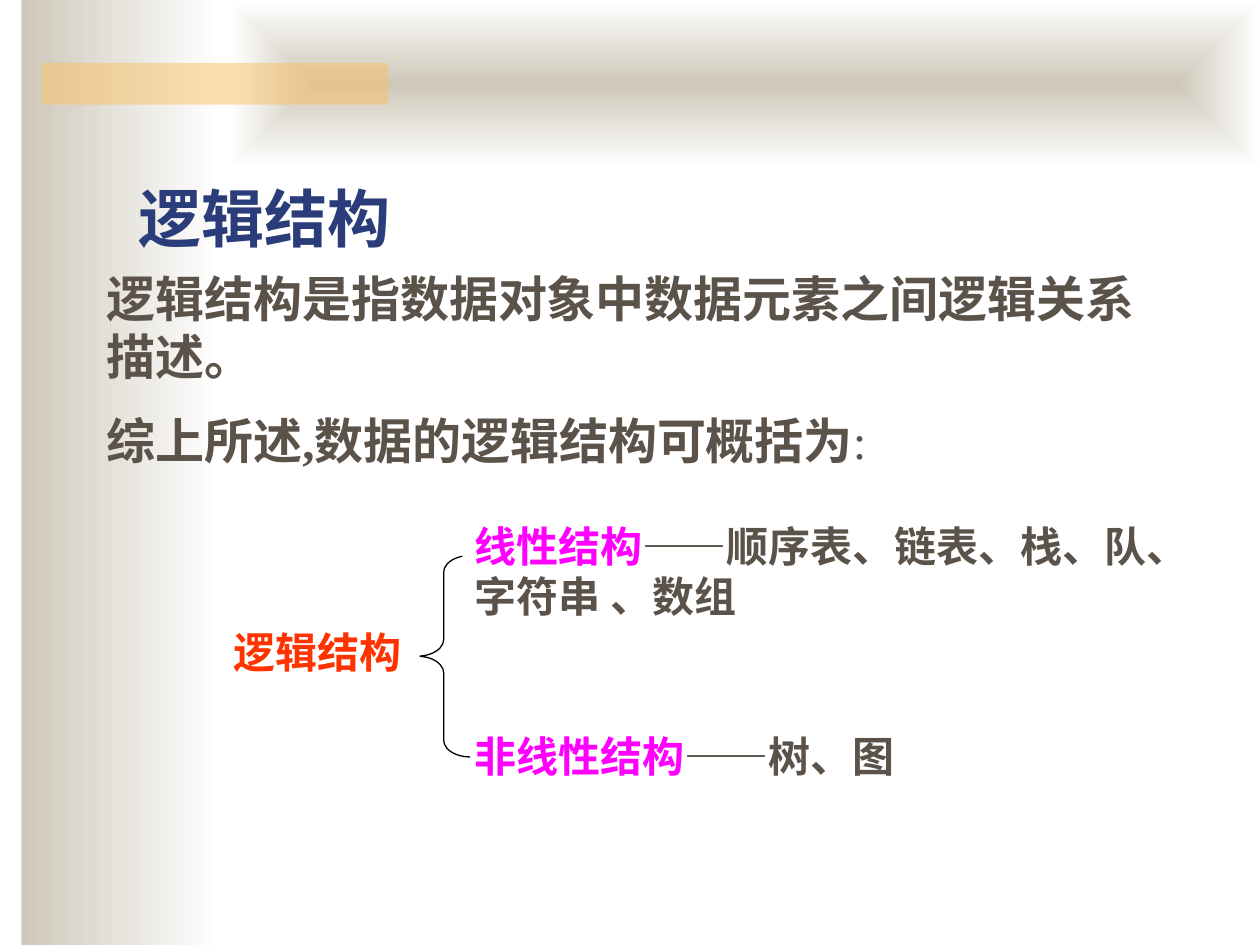
from pptx import Presentation
from pptx.dml.color import RGBColor
from pptx.enum.shapes import MSO_SHAPE
from pptx.enum.text import MSO_ANCHOR, PP_ALIGN
from pptx.oxml.ns import qn
from pptx.util import Cm, Pt
from lxml.etree import SubElement

COLORS = {"sand": "CEC8BA", "white": "FFFFFF", "amber": "FAC164", "body": "5B5249",
          "magenta": "FF00FF", "red": "FF3300", "navy": "2A3D7A", "black": "000000"}


class Deck:
    """Holds the style and the current slide, and adds elements to it."""

    def __init__(self):
        self.prs = Presentation()
        self.prs.slide_width, self.prs.slide_height = Cm(25.4), Cm(19.05)
        self.s = self.prs.slides.add_slide(self.prs.slide_layouts[6])

    def color(self, name):
        return RGBColor.from_string(COLORS[name])

    def shape(self, box, fill=None, kind=MSO_SHAPE.RECTANGLE, alpha=None):
        sp = self.s.shapes.add_shape(kind, *map(Cm, box))
        sp.shadow.inherit = False
        sp.line.fill.background()
        if fill:
            sp.fill.solid()
            sp.fill.fore_color.rgb = self.color(fill)
        else:
            sp.fill.background()
        if alpha:
            clr = sp.fill._xPr.find(qn("a:solidFill"))[0]
            SubElement(clr, qn("a:alpha"), val=str(alpha * 1000))
        return sp

    def gradient(self, box, centered=False):
        sp = self.shape(box)
        sp.fill.gradient()
        sp.fill.gradient_angle = 0
        for stop, name in zip(sp.fill.gradient_stops, ("sand", "white")):
            stop.color.rgb = self.color(name)
        if centered:
            grad = sp._element.spPr.find(qn("a:gradFill"))
            grad.remove(grad.find(qn("a:lin")))
            path = SubElement(grad, qn("a:path"), path="shape")
            SubElement(path, qn("a:fillToRect"), **dict.fromkeys("ltrb", "50000"))

    def brace(self, box, curve):
        sp = self.shape(box, kind=MSO_SHAPE.LEFT_BRACE)
        sp.adjustments[0], sp.adjustments[1] = curve, 0.5
        sp.line.color.rgb = self.color("black")
        sp.line.width = Pt(0.75)

    def text(self, box, paragraphs, size, font="Times New Roman", fill=None, before=0,
             spacing=None, align=PP_ALIGN.LEFT, anchor=MSO_ANCHOR.TOP):
        sp = self.shape(box, fill) if fill else self.s.shapes.add_textbox(*map(Cm, box))
        tf = sp.text_frame
        tf.word_wrap = True
        tf.vertical_anchor = anchor
        for i, runs in enumerate(paragraphs):
            p = tf.add_paragraph() if i else tf.paragraphs[0]
            p.alignment = align
            p.space_before = Pt(before)
            if spacing:
                p.line_spacing = spacing
            for words, color, bold in runs:
                r = p.add_run()
                r.text = words
                r.font.name, r.font.size, r.font.bold = font, Pt(size), bold
                r.font.color.rgb = self.color(color)


deck = Deck()
deck.gradient((0.43, 0, 4.01, 19.05))
deck.gradient((4.65, 0, 20.75, 3.38), centered=True)
deck.shape((0.84, 1.27, 6.99, 0.84), "amber", alpha=50)

deck.text((1.9, 5.28, 21.41, 4.45), [
    [("逻辑结构是指数据对象中数据元素之间逻辑关系描述。", "body", True)],
    [("综上所述,数据的逻辑结构可概括为".replace(",", ","), "body", True), (":", "body", False)],
], 28, before=14)

deck.brace((8.41, 11.2, 1.07, 4.06), 0.314)
deck.text((9.32, 10.36, 15.47, 2.11), [
    [("线性结构", "magenta", True), ("——顺序表、链表、栈、队、字符串 、数组", "body", True)],
], 24, fill="white")
deck.text((4.45, 12.5, 4.01, 1.27), [[("逻辑结构", "red", True)]], 24,
          fill="white", align=PP_ALIGN.JUSTIFY)
deck.text((9.32, 14.6, 9.73, 1.27), [
    [("非线性结构", "magenta", True), ("——树、图", "body", True)],
], 24, before=12)

deck.text((2.54, 2.11, 22.23, 3.18), [[("逻辑结构", "navy", True)]], 36, font="Arial",
          spacing=0.9, anchor=MSO_ANCHOR.BOTTOM)

deck.prs.save("out.pptx")
